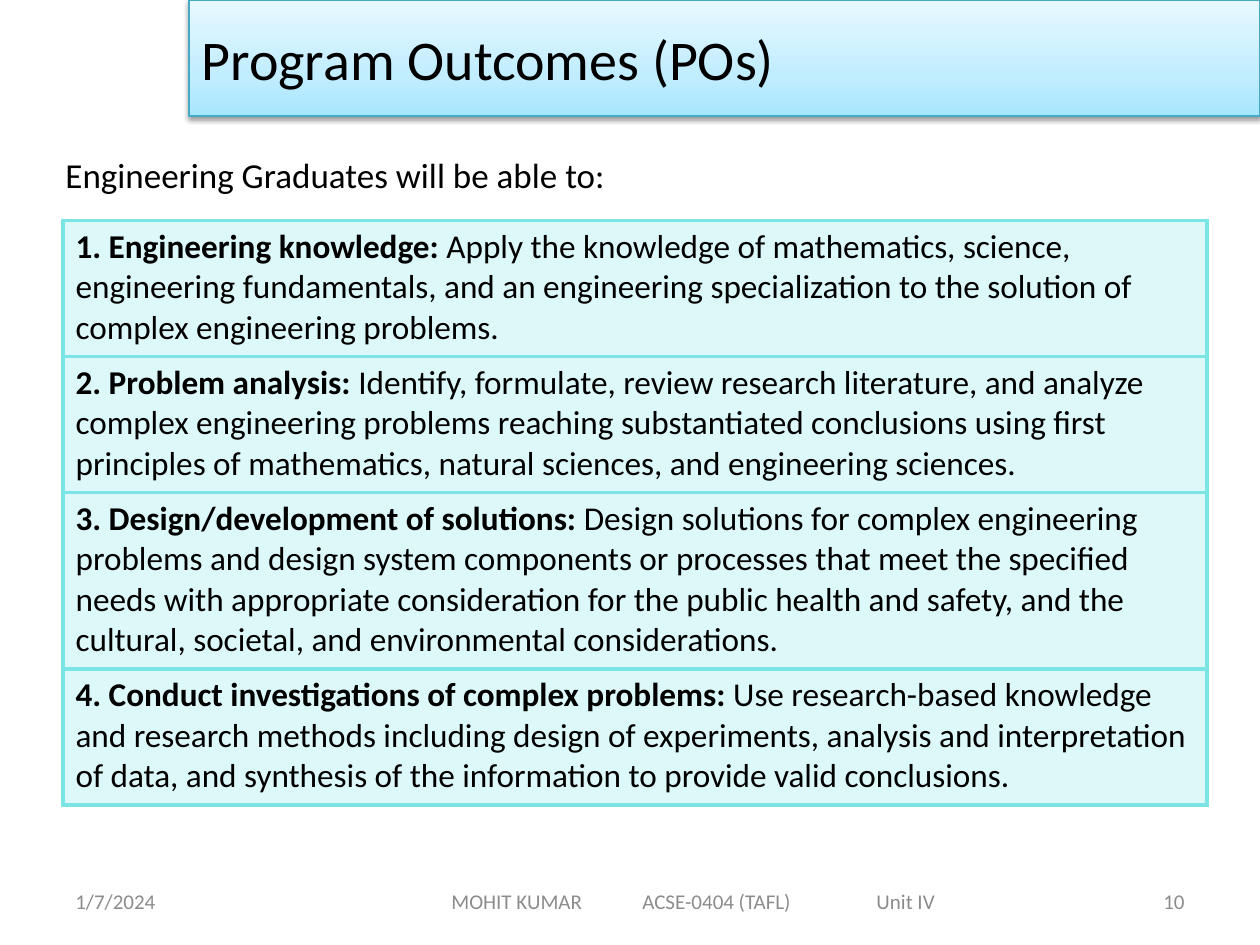
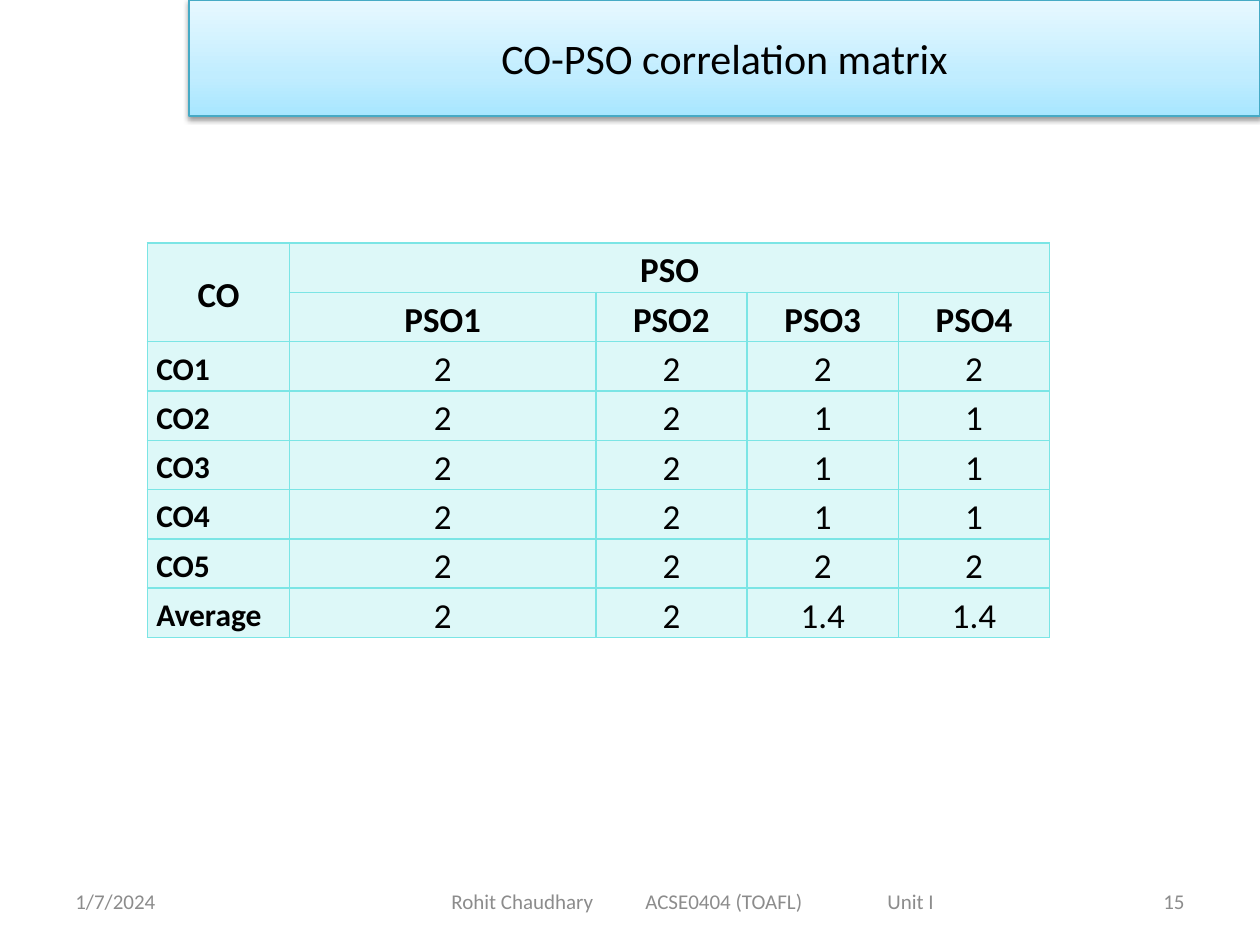
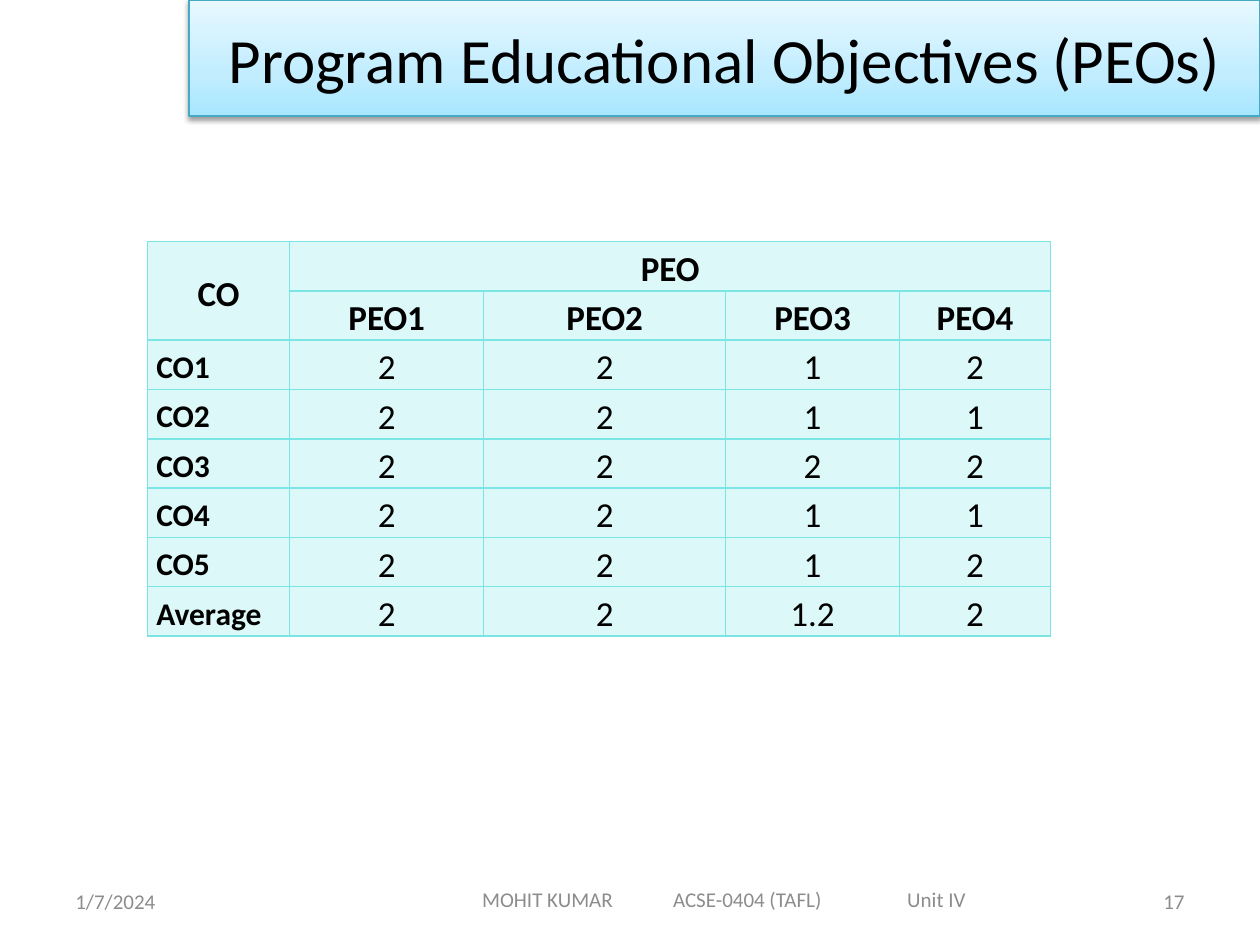
from copy import deepcopy
from dataclasses import dataclass

from lxml import etree
from pptx import Presentation
from pptx.dml.color import RGBColor
from pptx.enum import text
from pptx.oxml import parse_xml
from pptx.oxml.ns import nsdecls, qn
from pptx.util import Cm, Pt

LEFT, CENTER, RIGHT = text.PP_ALIGN.LEFT, text.PP_ALIGN.CENTER, text.PP_ALIGN.RIGHT
MIDDLE = text.MSO_ANCHOR.MIDDLE


@dataclass(frozen=True)
class Theme:
    font: str = "Calibri"
    ink: str = "000000"
    muted: str = "8C8C8C"
    band_line: str = "46AAC5"
    band_stops: tuple = ((0, "A7E6FF"), (0.35, "C1EDFF"), (1, "E7F8FF"))
    table: str = "7BE5E5"
    table_alpha: int = 25000
    lead_size: int = 20
    outcome_size: int = 19
    value_size: int = 20
    label_size: int = 18
    footer_size: int = 12


THEME = Theme()
DATE = "1/7/2024"

OUTCOMES = [
    ("1. Engineering knowledge: ",
     "Apply the knowledge of mathematics, science, engineering fundamentals, and an "
     "engineering specialization to the solution of complex engineering problems."),
    ("2. Problem analysis:",
     " Identify, formulate, review research literature, and analyze complex engineering "
     "problems reaching substantiated conclusions using first principles of mathematics, "
     "natural sciences, and engineering sciences."),
    ("3. Design/development of solutions:",
     " Design solutions for complex engineering problems and design system components or "
     "processes that meet the specified needs with appropriate consideration for the public "
     "health and safety, and the cultural, societal, and environmental considerations."),
    ("4. Conduct investigations of complex problems: ",
     "Use research-based knowledge and research methods including design of experiments, "
     "analysis and interpretation of data, and synthesis of the information to provide "
     "valid conclusions."),
]
OUTCOME_HEIGHTS = [2.74, 2.74, 3.56, 2.74]

MATRIX_LABELS = ["CO1", "CO2", "CO3", "CO4", "CO5", "Average"]
PSO_VALUES = ["2222", "2211", "2211", "2211", "2222", ["2", "2", "1.4", "1.4"]]
PEO_VALUES = ["2212", "2211", "2222", "2211", "2212", ["2", "2", "1.2", "2"]]


def style_span(span, size, color=THEME.ink, bold=False):
    span.font.name = THEME.font
    span.font.size = Pt(size)
    span.font.bold = bold
    span.font.color.rgb = RGBColor.from_string(color)


def add_label(page, words, place, size, color=THEME.ink, align=LEFT, wrap=True):
    box = page.shapes.add_textbox(*map(Cm, place))
    frame = box.text_frame
    frame.word_wrap = wrap
    frame.text = words
    para = frame.paragraphs[0]
    para.alignment = align
    for span in para.runs:
        style_span(span, size, color)
    return box


def add_band(page, title, size, align):
    band = page.shapes.title
    band.left, band.top, band.width, band.height = map(Cm, (3.81, 0, 21.59, 2.34))
    band.fill.gradient()
    band.fill.gradient_angle = 90
    stop_list = band.element.spPr.find(".//" + qn("a:gsLst"))
    stop_list.append(deepcopy(stop_list[0]))
    for stop, (position, color) in zip(band.fill.gradient_stops, THEME.band_stops):
        stop.position = position
        stop.color.rgb = RGBColor.from_string(color)
    band.line.color.rgb = RGBColor.from_string(THEME.band_line)
    band.line.width = Pt(0.75)
    band.element.spPr.append(parse_xml(
        f'<a:effectLst {nsdecls("a")}><a:outerShdw blurRad="40000" dist="20000" '
        'dir="5400000" rotWithShape="0"><a:srgbClr val="000000"><a:alpha val="38000"/>'
        '</a:srgbClr></a:outerShdw></a:effectLst>'))
    frame = band.text_frame
    frame.text = title
    frame.word_wrap = True
    frame.auto_size = text.MSO_AUTO_SIZE.NONE
    frame.vertical_anchor = MIDDLE
    frame.paragraphs[0].alignment = align
    style_span(frame.paragraphs[0].runs[0], size)


def add_footer(page, parts, number, place=(6.99, 17.65, 13.97, 1.02), indent=2.11,
               tabs=(3.85, 8.57)):
    look = (THEME.footer_size, THEME.muted)
    date = add_label(page, DATE, (1.27, 17.65, 5.92, 1.02), *look)
    course = add_label(page, "\t".join(parts), place, *look)
    count = add_label(page, str(number), (18.21, 17.65, 5.92, 1.02), *look, align=RIGHT)
    for box in (date, course, count):
        box.text_frame.vertical_anchor = MIDDLE
    course.text_frame.margin_left = Cm(indent)
    properties = course.text_frame.paragraphs[0]._p.get_or_add_pPr()
    tab_list = etree.SubElement(properties, qn("a:tabLst"))
    for tab in tabs:
        etree.SubElement(tab_list, qn("a:tab"), pos=str(Cm(tab)), algn="l")


def style_cell(cell, border):
    cell.fill.solid()
    cell.fill.fore_color.rgb = RGBColor.from_string(THEME.table)
    properties = cell._tc.get_or_add_tcPr()
    color = properties.find(".//" + qn("a:srgbClr"))
    etree.SubElement(color, qn("a:alpha"), val=str(THEME.table_alpha))
    for index, side in enumerate(("lnL", "lnR", "lnT", "lnB")):
        properties.insert(index, parse_xml(
            f'<a:{side} {nsdecls("a")} w="{Pt(border)}"><a:solidFill>'
            f'<a:srgbClr val="{THEME.table}"/></a:solidFill></a:{side}>'))


def add_grid(page, left, top, widths, heights, border):
    frame = page.shapes.add_table(len(heights), len(widths), Cm(left), Cm(top),
                                  Cm(sum(widths)), Cm(sum(heights)))
    table = frame.table
    table.first_row = table.horz_banding = False
    for column, width in zip(table.columns, widths):
        column.width = Cm(width)
    for row, height in zip(table.rows, heights):
        row.height = Cm(height)
    for cell in table.iter_cells():
        style_cell(cell, border)
    return table


def add_outcomes(page):
    table = add_grid(page, 1.27, 4.45, [23.06], OUTCOME_HEIGHTS, 2.25)
    for cell, outcome in zip(table.iter_cells(), OUTCOMES):
        para = cell.text_frame.paragraphs[0]
        for words, bold in zip(outcome, (True, False)):
            span = para.add_run()
            span.text = words
            style_span(span, THEME.outcome_size, bold=bold)


def fill_cell(cell, words, size, bold, align=CENTER, middle=False):
    cell.text_frame.text = words
    if middle:
        cell.vertical_anchor = MIDDLE
    para = cell.text_frame.paragraphs[0]
    para.alignment = align
    para.line_spacing = 1.15
    style_span(para.runs[0], size, bold=bold)


def add_matrix(page, group, values, widths, top):
    table = add_grid(page, 2.97, top, widths, [0.97] * (len(values) + 2), 1)
    for cell in table.iter_cells():
        cell.margin_left = cell.margin_right = Cm(0.18)
        cell.margin_top = cell.margin_bottom = 0
    table.cell(0, 0).merge(table.cell(1, 0))
    table.cell(0, 1).merge(table.cell(0, len(widths) - 1))
    fill_cell(table.cell(0, 0), "CO", THEME.value_size, True, middle=True)
    fill_cell(table.cell(0, 1), group, THEME.value_size, True)
    for column in range(1, len(widths)):
        fill_cell(table.cell(1, column), f"{group}{column}", THEME.value_size, True)
    for row, (label, numbers) in enumerate(zip(MATRIX_LABELS, values), 2):
        fill_cell(table.cell(row, 0), label, THEME.label_size, True, LEFT, True)
        for column, number in enumerate(numbers, 1):
            fill_cell(table.cell(row, column), number, THEME.value_size, False)


def add_page(deck, title, size, align=CENTER):
    page = deck.slides.add_slide(deck.slide_layouts[5])
    add_band(page, title, size, align)
    return page


def main():
    deck = Presentation()
    deck.slide_width, deck.slide_height = Cm(25.4), Cm(19.05)
    course = ("MOHIT KUMAR", "ACSE-0404 (TAFL)", "Unit IV")

    page = add_page(deck, "Program Outcomes (POs)", 32, LEFT)
    add_label(page, "Engineering Graduates will be able to:", (1.07, 2.97, 11.48, 1.12),
              THEME.lead_size, wrap=False)
    add_outcomes(page)
    add_footer(page, course, 10)

    page = add_page(deck, "CO-PSO correlation matrix", 24)
    add_matrix(page, "PSO", PSO_VALUES, [2.87, 6.17, 3.05, 3.05, 3.05], 4.9)
    add_footer(page, ("Rohit Chaudhary", "ACSE0404 (TOAFL)", "Unit I"), 15,
               tabs=(3.91, 8.79))

    page = add_page(deck, "Program Educational Objectives (PEOs)", 36)
    add_matrix(page, "PEO", PEO_VALUES, [2.87, 3.91, 4.88, 3.5, 3.05], 4.87)
    add_footer(page, course, 17, place=(8.69, 17.58, 11.86, 1.09), indent=1.03)

    deck.save("out.pptx")


if __name__ == "__main__":
    main()
